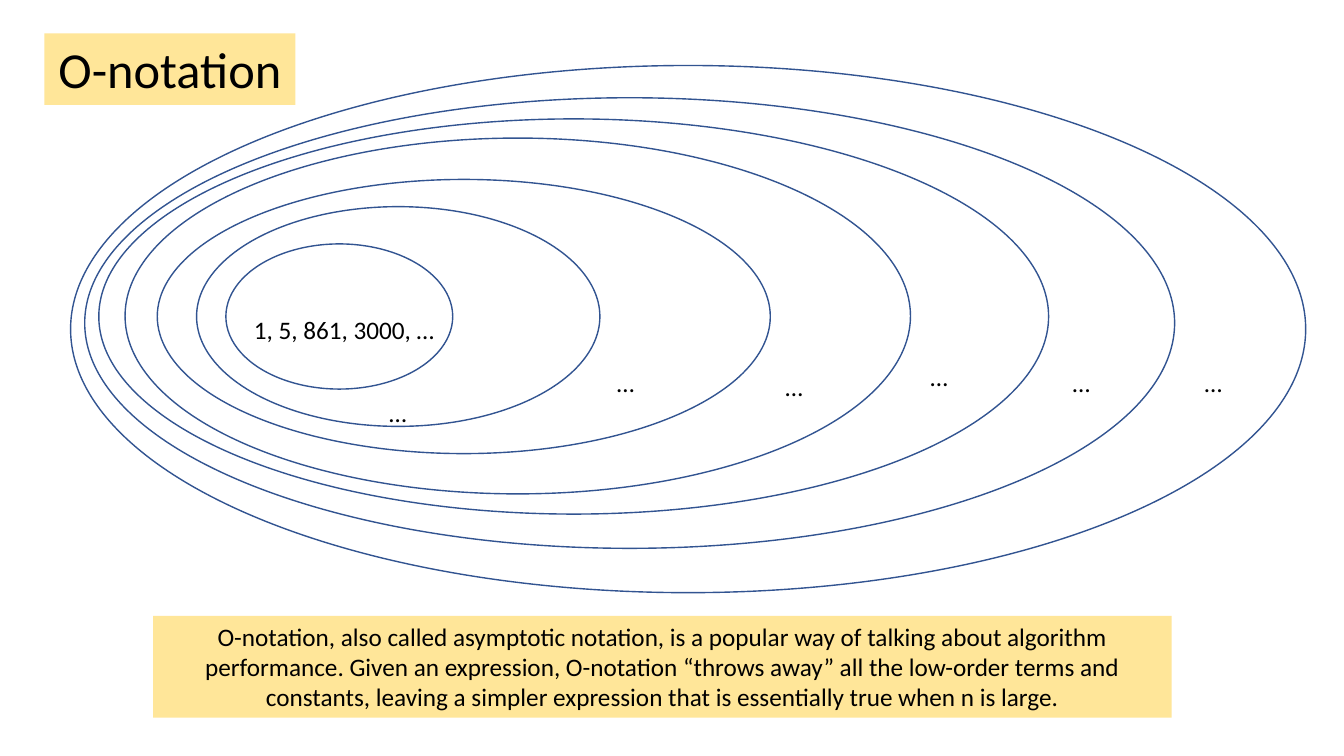
from pptx import Presentation
from pptx.dml.color import RGBColor
from pptx.enum.shapes import MSO_SHAPE
from pptx.enum.text import MSO_ANCHOR, MSO_AUTO_SIZE, PP_ALIGN
from pptx.util import Inches, Pt

COLORS = {"outline": "325491", "panel": "FFE699", "text": "000000"}

deck = Presentation()
deck.slide_width = Inches(13.33)
deck.slide_height = Inches(7.5)
slide = deck.slides.add_slide(deck.slide_layouts[6])


def add_text(text, left, top, width, height, size=18, fill=None, wrap=False,
             align=PP_ALIGN.LEFT, anchor=MSO_ANCHOR.TOP):
    bounds = [Inches(value) for value in (left, top, width, height)]
    if fill:
        box = slide.shapes.add_shape(MSO_SHAPE.RECTANGLE, *bounds)
        box.shadow.inherit = False
        box.fill.solid()
        box.fill.fore_color.rgb = RGBColor.from_string(fill)
        box.line.fill.background()
    else:
        box = slide.shapes.add_textbox(*bounds)
    frame = box.text_frame
    frame.word_wrap = wrap
    frame.auto_size = MSO_AUTO_SIZE.SHAPE_TO_FIT_TEXT
    frame.vertical_anchor = anchor
    paragraph = frame.paragraphs[0]
    paragraph.alignment = align
    run = paragraph.add_run()
    run.text = text
    run.font.name = "Calibri"
    run.font.size = Pt(size)
    run.font.color.rgb = RGBColor.from_string(COLORS["text"])


# Nested growth classes, innermost first: left, top, width, height
growth_classes = [
    (2.24, 2.42, 2.25, 1.44),
    (1.95, 2.05, 4, 2.18),
    (1.56, 1.78, 6.08, 2.72),
    (1.24, 1.37, 7.79, 3.53),
    (0.98, 1.18, 9.42, 3.92),
    (0.84, 0.97, 10.81, 4.47),
    (0.7, 0.65, 12.25, 5.23),
]
for bounds in growth_classes:
    ring = slide.shapes.add_shape(MSO_SHAPE.OVAL, *[Inches(value) for value in bounds])
    ring.shadow.inherit = False
    ring.fill.background()
    ring.line.color.rgb = RGBColor.from_string(COLORS["outline"])
    ring.line.width = Pt(1)

# Members of each class
add_text("1, 5, 861, 3000, …", 2.42, 3.07, 2.01, 0.4)
ellipsis_spots = [(3.76, 3.89), (6.02, 3.59), (7.69, 3.63),
                  (9.13, 3.54), (10.54, 3.59), (11.85, 3.59)]
for left, top in ellipsis_spots:
    add_text("…", left, top, 0.38, 0.4)

# Title and definition
panel_format = dict(fill=COLORS["panel"], wrap=True, align=PP_ALIGN.CENTER)
add_text("O-notation", 0.44, 0.33, 2.49, 0.71, size=36, **panel_format)
add_text(
    "O-notation, also called asymptotic notation, is a popular way of talking about "
    "algorithm performance. Given an expression, O-notation “throws away” all the "
    "low-order terms and constants, leaving a simpler expression that is essentially "
    "true when n is large.",
    1.52, 6.11, 10.1, 1.01, **panel_format)

deck.save("out.pptx")
